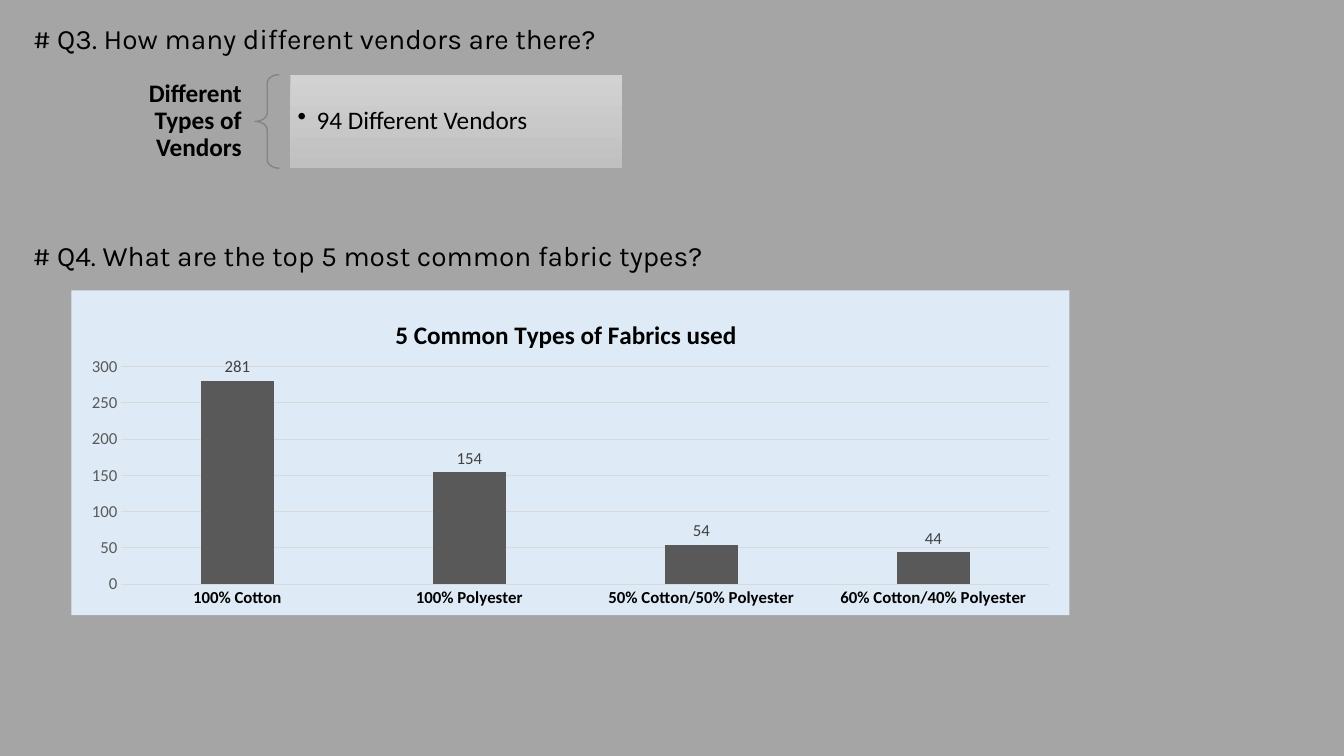
from lxml import etree
from pptx import Presentation
from pptx.chart.data import CategoryChartData
from pptx.dml.color import RGBColor
from pptx.enum.chart import XL_CHART_TYPE as ChartType
from pptx.enum.chart import XL_LABEL_POSITION as LabelPosition
from pptx.enum.chart import XL_TICK_MARK as TickMark
from pptx.enum.shapes import MSO_SHAPE as Shape
from pptx.enum.text import MSO_ANCHOR as Anchor
from pptx.enum.text import MSO_AUTO_SIZE as AutoSize
from pptx.enum.text import PP_ALIGN as Align
from pptx.oxml import parse_xml
from pptx.oxml.ns import nsdecls, qn
from pptx.util import Cm, Pt

COLORS = {
    "background": "A5A5A5",
    "text": "000000",
    "brace": "848484",
    "panel_top": "D2D2D2",
    "panel_bottom": "C0C0C0",
    "chart_area": "DEEBF7",
    "bar": "595959",
    "grid": "D9D9D9",
    "value": "404040",
}
FABRICS = {
    "100% Cotton": 281,
    "100% Polyester": 154,
    "50% Cotton/50% Polyester": 54,
    "60% Cotton/40% Polyester": 44,
}
VENDOR_TOP, VENDOR_HEIGHT = 1.88, 2.36


def rgb(name):
    return RGBColor.from_string(COLORS[name])


def set_attributes(target, **values):
    for name, value in values.items():
        setattr(target, name, value)


def format_font(font, size, color="text", bold=False, name="Calibri"):
    set_attributes(font, size=Pt(size), bold=bold, name=name)
    font.color.rgb = rgb(color)


def box(left, top, width, height):
    return [Cm(length) for length in (left, top, width, height)]


def format_heading(shape, text, top):
    """Place and fill one of the question headings."""
    position = zip(("left", "top", "width", "height"), box(0.58, top, 25.58, 1.12))
    set_attributes(shape, **dict(position))
    frame = shape.text_frame
    set_attributes(frame, text=text, word_wrap=True,
                   auto_size=AutoSize.SHAPE_TO_FIT_TEXT, vertical_anchor=Anchor.TOP)
    paragraph = frame.paragraphs[0]
    paragraph.alignment = Align.LEFT
    format_font(paragraph.font, 20, name="Karla")


def fill_frame(shape, text, align, margin_x, margin_y, bold=False, bullet=None):
    frame = shape.text_frame
    set_attributes(frame, text=text, word_wrap=True, vertical_anchor=Anchor.MIDDLE,
                   margin_left=Cm(margin_x), margin_right=Cm(margin_x),
                   margin_top=Cm(margin_y), margin_bottom=Cm(margin_y))
    paragraph = frame.paragraphs[0]
    set_attributes(paragraph, alignment=align, line_spacing=0.9)
    if bullet:
        properties = paragraph._p.get_or_add_pPr()
        properties.set("marL", str(Cm(0.48)))
        properties.set("indent", str(-Cm(0.48)))
        etree.SubElement(properties, qn("a:buChar")).set("char", bullet)
    format_font(paragraph.font, 18, bold=bold)


def add_vendor_block(slide):
    # Label
    label = slide.shapes.add_textbox(*box(3.38, VENDOR_TOP, 3.07, VENDOR_HEIGHT))
    fill_frame(label, "Different Types of Vendors", Align.RIGHT, 0.36, 0.13, bold=True)

    # Brace
    brace = slide.shapes.add_shape(
        Shape.LEFT_BRACE, *box(6.43, VENDOR_TOP, 0.61, VENDOR_HEIGHT))
    brace.shadow.inherit = False
    brace.adjustments[0] = 0.35
    brace.fill.background()
    brace.line.color.rgb = rgb("brace")
    brace.line.width = Pt(1)

    # Panel with the answer
    panel = slide.shapes.add_shape(
        Shape.RECTANGLE, *box(7.32, VENDOR_TOP, 8.36, VENDOR_HEIGHT))
    panel.shadow.inherit = False
    panel.line.fill.background()
    panel.fill.gradient()
    panel.fill.gradient_angle = 270
    for stop, color in zip(panel.fill.gradient_stops, ("panel_top", "panel_bottom")):
        stop.color.rgb = rgb(color)
    fill_frame(panel, "94 Different Vendors", Align.LEFT, 0.18, 0.18, bullet="•")


def set_layout(parent, index, **fractions):
    """Fix the place of a chart part, as fractions of the chart."""
    old = parent.find(qn("c:layout"))
    if old is not None:
        parent.remove(old)
    layout = etree.Element(qn("c:layout"))
    manual = etree.SubElement(layout, qn("c:manualLayout"))
    if "w" in fractions:
        etree.SubElement(manual, qn("c:layoutTarget")).set("val", "inner")
    for mode in ("xMode", "yMode"):
        etree.SubElement(manual, qn(f"c:{mode}")).set("val", "edge")
    for name, value in fractions.items():
        etree.SubElement(manual, qn(f"c:{name}")).set("val", str(value))
    parent.insert(index, layout)


def format_axis(axis, color, bold=False):
    set_attributes(axis, major_tick_mark=TickMark.NONE, minor_tick_mark=TickMark.NONE)
    format_font(axis.tick_labels.font, 12, color, bold)


def format_line(line):
    line.color.rgb = rgb("grid")
    line.width = Pt(0.75)


def add_fabric_chart(slide):
    data = CategoryChartData()
    data.categories = list(FABRICS)
    data.add_series("Series 1", list(FABRICS.values()))
    chart = slide.shapes.add_chart(
        ChartType.COLUMN_CLUSTERED, *box(1.8, 7.32, 25.15, 8.18), data).chart
    chart.has_legend = False
    format_font(chart.font, 10)

    # Chart area and title
    chart_element = chart._chartSpace.find(qn("c:chart"))
    chart_element.addnext(parse_xml(
        f'<c:spPr {nsdecls("c", "a")}><a:solidFill><a:srgbClr '
        f'val="{COLORS["chart_area"]}"/></a:solidFill><a:ln><a:noFill/></a:ln></c:spPr>'))
    title_frame = chart.chart_title.text_frame
    title_frame.text = "5 Common Types of Fabrics used"
    format_font(title_frame.paragraphs[0].runs[0].font, 18, bold=True)
    set_layout(chart_element.find(qn("c:title")), 1, x=0.32, y=0.07)
    set_layout(chart_element.find(qn("c:plotArea")), 0, x=0.05, y=0.235, w=0.93, h=0.67)

    # Axes
    format_axis(chart.category_axis, "text", bold=True)
    format_line(chart.category_axis.format.line)
    value_axis = chart.value_axis
    format_axis(value_axis, "bar")
    set_attributes(value_axis, minimum_scale=0, maximum_scale=300, major_unit=50)
    value_axis.format.line.fill.background()
    format_line(value_axis.major_gridlines.format.line)

    # Columns and their values
    plot = chart.plots[0]
    set_attributes(plot, gap_width=219, overlap=-27, vary_by_categories=False,
                   has_data_labels=True)
    fill = plot.series[0].format.fill
    fill.solid()
    fill.fore_color.rgb = rgb("bar")
    set_attributes(plot.data_labels, show_value=True, position=LabelPosition.OUTSIDE_END)
    format_font(plot.data_labels.font, 12, "value")


def main():
    presentation = Presentation()
    set_attributes(presentation, slide_width=Cm(33.87), slide_height=Cm(19.05))
    slide = presentation.slides.add_slide(presentation.slide_layouts[5])
    slide.background.fill.solid()
    slide.background.fill.fore_color.rgb = rgb("background")

    # Vendors
    format_heading(slide.shapes.title, "# Q3. How many different vendors are there?", 0.41)
    add_vendor_block(slide)

    # Fabrics
    fabric_heading = slide.shapes.add_textbox(*box(0.58, 5.89, 25.58, 1.12))
    format_heading(fabric_heading, "# Q4. What are the top 5 most common fabric types?", 5.89)
    add_fabric_chart(slide)

    presentation.save("out.pptx")


if __name__ == "__main__":
    main()
